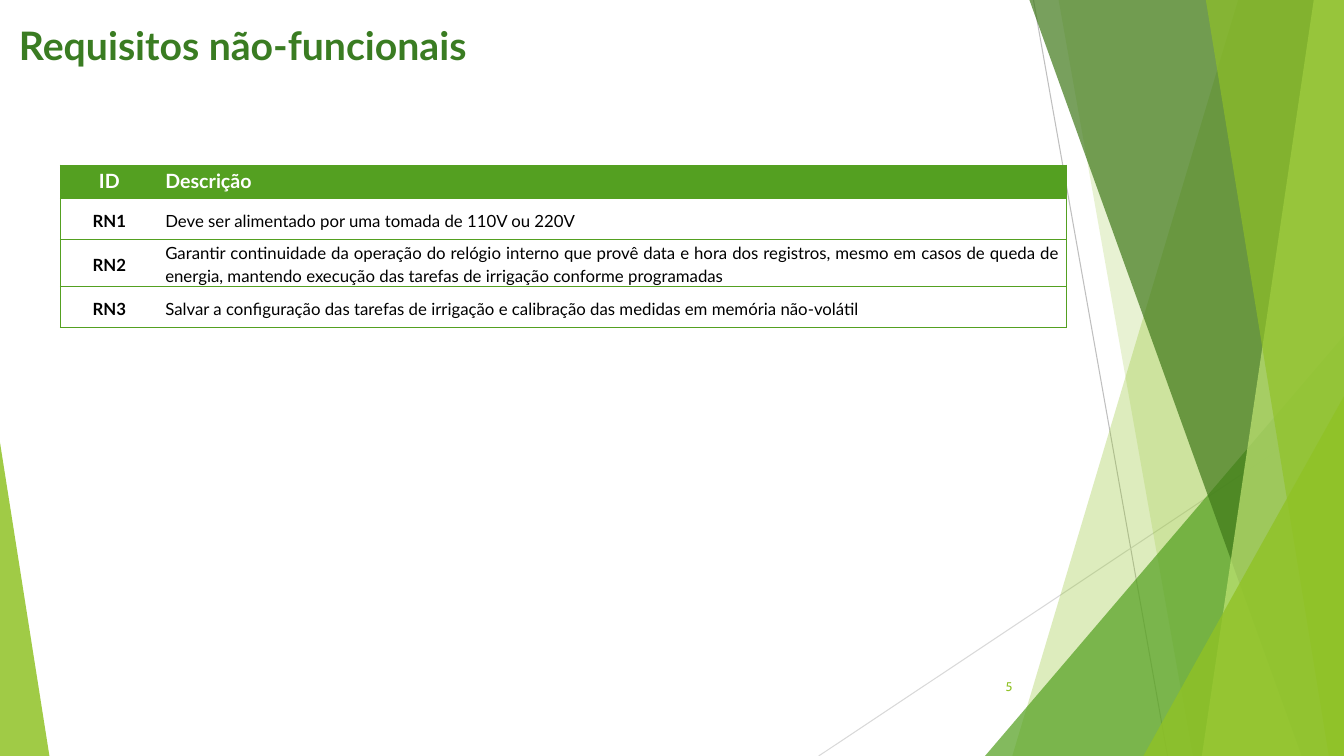
import pptx
import pptx.util
import pptx.dml.color
import pptx.enum.shapes
import pptx.enum.text
import pptx.oxml
import pptx.oxml.ns
import lxml.etree

Inches, Pt = pptx.util.Inches, pptx.util.Pt
ALIGN, ANCHOR = pptx.enum.text.PP_ALIGN, pptx.enum.text.MSO_ANCHOR

# Content
TITLE = "Requisitos não-funcionais"
PAGE = "5"
ROWS = [
    ("ID", "Descrição"),
    ("RN1", "Deve ser alimentado por uma tomada de 110V ou 220V"),
    ("RN2", "Garantir continuidade da operação do relógio interno que provê data e hora "
            "dos registros, mesmo em casos de queda de energia, mantendo execução das "
            "tarefas de irrigação conforme programadas"),
    ("RN3", "Salvar a configuração das tarefas de irrigação e calibração das medidas "
            "em memória não-volátil"),
]
WIDTHS = (0.97, 9.01)
HEIGHTS = (0.33, 0.41, 0.46, 0.41)

# Backdrop
WIDE, HIGH = 13.33, 7.5
GREEN, LIME = "54A021", "90C226"
LINES = [((10.25, 0), (11.58, HIGH), "BFBFBF"),
         ((WIDE, 4.03), (8.12, HIGH), "D9D9D9")]
# band: top x, foot x; peak: left, top, width, apex; then colour, opacity
DECOR = [
    ("band", (12.28, 10.04), LIME, 30),
    ("band", (10.5, 11.83), LIME, 20),
    ("peak", (9.77, 3.33, 3.56, 1), GREEN, 72),
    ("band", (10.21, 12.91), "3F7819", 70),
    ("band", (13.03, 11.92), "C0E474", 70),
    ("band", (11.96, 13.18), LIME, 65),
    ("peak", (11.34, 3.93, 1.99, 1), LIME, 80),
    ("peak", (0, 4.39, 0.49, 0), LIME, 85),
]


def put(obj, **vals):
    for key, val in vals.items():
        setattr(obj, key, val)


def tint(form, code):
    form.rgb = pptx.dml.color.RGBColor.from_string(code)


def paint(fill, code, alpha=100):
    fill.solid()
    tint(fill.fore_color, code)
    if alpha < 100:
        node = fill.fore_color._xFill.find(".//" + pptx.oxml.ns.qn("a:srgbClr"))
        lxml.etree.SubElement(node, pptx.oxml.ns.qn("a:alpha"), val=str(alpha * 1000))


def write(frame, text, code, para, font):
    frame.word_wrap = True
    line = frame.paragraphs[0]
    put(line, **para)
    run = line.add_run()
    run.text = text
    put(run.font, **font)
    tint(run.font.color, code)


def edge(cell, side, code):
    ink = f'<a:solidFill><a:srgbClr val="{code}"/></a:solidFill>' if code else "<a:noFill/>"
    space = pptx.oxml.ns.nsdecls("a")
    cell._tc.get_or_add_tcPr().append(pptx.oxml.parse_xml(
        f'<a:ln{side} {space} w="{Pt(1)}">{ink}</a:ln{side}>'))


def band(shapes, top, foot):
    build = shapes.build_freeform(Inches(top), 0, scale=1.0)
    spots = [(WIDE, 0), (WIDE, HIGH), (foot, HIGH)]
    build.add_line_segments([(Inches(x), Inches(y)) for x, y in spots], close=True)
    return build.convert_to_shape()


def peak(shapes, left, top, width, apex):
    kind = pptx.enum.shapes.MSO_SHAPE.ISOSCELES_TRIANGLE
    shape = shapes.add_shape(kind, *map(Inches, (left, top, width, HIGH - top)))
    shape.adjustments[0] = apex
    return shape


def main():
    deck = pptx.Presentation()
    put(deck, slide_width=Inches(WIDE), slide_height=Inches(HIGH))
    shapes = deck.slides.add_slide(deck.slide_layouts[6]).shapes

    # Thin lines
    for start, end, code in LINES:
        link = shapes.add_connector(pptx.enum.shapes.MSO_CONNECTOR.STRAIGHT,
                                    *map(Inches, start + end))
        link.line.width = Pt(0.75)
        tint(link.line.color, code)
        lxml.etree.SubElement(link._element.spPr, pptx.oxml.ns.qn("a:effectLst"))

    # Green facets
    make = {"band": band, "peak": peak}
    for kind, spots, code, alpha in DECOR:
        shape = make[kind](shapes, *spots)
        shape.shadow.inherit = False
        shape.line.fill.background()
        paint(shape.fill, code, alpha)

    # Title
    box = shapes.add_textbox(*map(Inches, (0.09, 0.09, 6.27, 0.62)))
    write(box.text_frame, TITLE, "3A7C22", {"line_spacing": 1.15, "space_after": Pt(4)},
          {"name": "Lato", "size": Pt(28), "bold": True})

    # Table
    size = (0.6, 1.64, sum(WIDTHS), sum(HEIGHTS))
    table = shapes.add_table(len(ROWS), len(WIDTHS), *map(Inches, size)).table
    put(table, first_row=False, horz_banding=False)
    for col, width in zip(table.columns, WIDTHS):
        col.width = Inches(width)
    for r, texts in enumerate(ROWS):
        table.rows[r].height = Inches(HEIGHTS[r])
        head = r == 0
        for c, text in enumerate(texts):
            cell = table.cell(r, c)
            put(cell, margin_left=Inches(0.07), margin_right=Inches(0.07),
                margin_top=0, margin_bottom=0,
                vertical_anchor=ANCHOR.TOP if head else ANCHOR.MIDDLE)
            for side in "LRTB":
                inner = (side, c) in (("R", 0), ("L", 1))
                edge(cell, side, None if inner else GREEN)
            paint(cell.fill, GREEN if head else "FFFFFF")
            write(cell.text_frame, text, "FFFFFF" if head else "000000",
                  {"alignment": ALIGN.JUSTIFY if c else ALIGN.CENTER,
                   "line_spacing": 1.15, "space_after": Pt(8)},
                  {"name": "Lato", "size": Pt(14 if head else 12), "bold": head or c == 0})

    # Page number
    box = shapes.add_textbox(*map(Inches, (9.39, 6.61, 0.75, 0.4)))
    box.text_frame.vertical_anchor = ANCHOR.MIDDLE
    write(box.text_frame, PAGE, LIME, {"alignment": ALIGN.RIGHT},
          {"name": "Cabin", "size": Pt(9)})

    deck.save("out.pptx")


if __name__ == "__main__":
    main()
